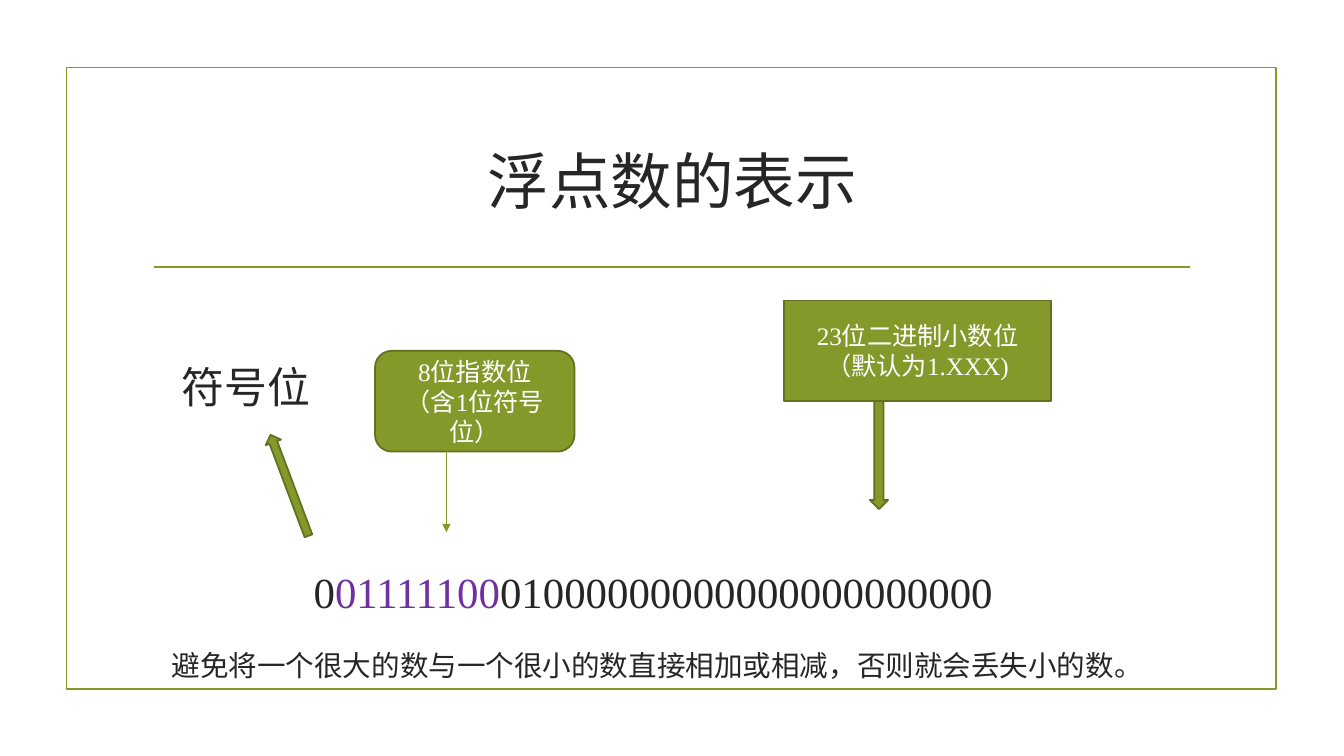
import pptx
import pptx.dml.color
import pptx.enum.shapes
import pptx.enum.text
import pptx.oxml
import pptx.oxml.ns
import pptx.util
from pptx.util import Cm

GREEN = pptx.dml.color.RGBColor(0x83, 0x99, 0x2A)
DARK_GREEN = pptx.dml.color.RGBColor(0x61, 0x71, 0x1F)
INK = pptx.dml.color.RGBColor(0x26, 0x26, 0x26)
PURPLE = pptx.dml.color.RGBColor(0x70, 0x30, 0xA0)
WHITE = pptx.dml.color.RGBColor(0xFF, 0xFF, 0xFF)
FONT = "Times New Roman"
SHAPES = pptx.enum.shapes.MSO_SHAPE
ANCHOR = pptx.enum.text.MSO_ANCHOR
ALIGN = pptx.enum.text.PP_ALIGN


def place(shape, left, top, width, height):
    shape.left, shape.top = Cm(left), Cm(top)
    shape.width, shape.height = Cm(width), Cm(height)


def format_paragraph(paragraph, size, color, alignment):
    paragraph.alignment = alignment
    paragraph.font.name = FONT
    paragraph.font.size = pptx.util.Pt(size)
    paragraph.font.color.rgb = color


def add_xml(parent, tag, **attributes):
    element = pptx.oxml.parse_xml(f"<a:{tag} {pptx.oxml.ns.nsdecls('a')}/>")
    for name, value in attributes.items():
        element.set(name, value)
    parent.append(element)


def add_line(slide, start, end, width, arrow=False):
    line = slide.shapes.add_connector(
        pptx.enum.shapes.MSO_CONNECTOR.STRAIGHT,
        Cm(start[0]), Cm(start[1]), Cm(end[0]), Cm(end[1]))
    line.line.color.rgb = GREEN
    line.line.width = pptx.util.Pt(width)
    if arrow:
        add_xml(line.line._get_or_add_ln(), "tailEnd", type="triangle")
    add_xml(line._element.spPr, "effectLst")


def add_block(slide, kind, box, filled=True, lines=(), rotation=0):
    shape = slide.shapes.add_shape(kind, *(Cm(length) for length in box))
    shape.shadow.inherit = False
    shape.rotation = rotation
    shape.line.width = pptx.util.Pt(1.25)
    if filled:
        shape.fill.solid()
        shape.fill.fore_color.rgb = GREEN
        shape.line.color.rgb = DARK_GREEN
    else:
        shape.fill.background()
        shape.line.color.rgb = GREEN
    if lines:
        frame = shape.text_frame
        frame.word_wrap = True
        frame.vertical_anchor = ANCHOR.MIDDLE
        frame.text = "\n".join(lines)
        for paragraph in frame.paragraphs:
            format_paragraph(paragraph, 18, WHITE, ALIGN.CENTER)


def fill_title(title):
    place(title, 3.61, 2.72, 26.67, 3.63)
    title.text_frame.text = "浮点数的表示"
    title.text_frame.vertical_anchor = ANCHOR.MIDDLE
    format_paragraph(title.text_frame.paragraphs[0], 44, INK, ALIGN.CENTER)


def fill_body(body):
    place(body, 3.61, 7.11, 26.67, 9.22)
    frame = body.text_frame
    frame.auto_size = pptx.enum.text.MSO_AUTO_SIZE.NONE
    frame.vertical_anchor = ANCHOR.TOP
    frame.margin_top = Cm(1.97)
    rows = [
        (["符号位"], 30.6, 0.71, 0),
        (["0", "01111100", "01000000000000000000000"], 30.6, 4.04, 110),
        (["避免将一个很大的数与一个很小的数直接相加或相减，否则就会丢失小的数。"], 20.4, 0.46, 22),
    ]
    for index, (texts, size, indent, space) in enumerate(rows):
        paragraph = frame.add_paragraph() if index else frame.paragraphs[0]
        format_paragraph(paragraph, size, INK, ALIGN.LEFT)
        paragraph.space_before = pptx.util.Pt(space)
        paragraph.space_after = pptx.util.Pt(0)
        properties = paragraph._p.get_or_add_pPr()
        properties.set("marL", str(Cm(indent)))
        properties.set("indent", "0")
        bullet = pptx.oxml.parse_xml(f"<a:buNone {pptx.oxml.ns.nsdecls('a')}/>")
        properties.find(pptx.oxml.ns.qn("a:defRPr")).addprevious(bullet)
        for text in texts:
            run = paragraph.add_run()
            run.text = text
            if text == "01111100":
                run.font.color.rgb = PURPLE


def main():
    presentation = pptx.Presentation()
    presentation.slide_width, presentation.slide_height = Cm(33.87), Cm(19.05)
    slide = presentation.slides.add_slide(presentation.slide_layouts[1])
    title, body = slide.placeholders

    add_block(slide, SHAPES.RECTANGLE, (1.68, 1.7, 30.48, 15.67), filled=False)
    add_line(slide, (3.89, 6.73), (30, 6.73), 1.25)
    for placeholder in (title, body):
        placeholder._element.getparent().append(placeholder._element)
    fill_title(title)
    fill_body(body)

    add_block(slide, SHAPES.UP_ARROW, (7.09, 10.87, 0.41, 2.72), rotation=339.4)
    add_block(slide, SHAPES.ROUNDED_RECTANGLE, (9.45, 8.84, 5.03, 2.54),
              lines=["8位指数位", "（含1位符号位）"])
    add_line(slide, (11.25, 11.07), (11.25, 13.41), 0.75, arrow=True)
    add_block(slide, SHAPES.RECTANGLE, (19.76, 7.57, 6.73, 2.54),
              lines=["23位二进制小数位（默认为1.XXX)"])
    add_block(slide, SHAPES.DOWN_ARROW, (21.92, 10.11, 0.46, 2.72))
    presentation.save("out.pptx")


if __name__ == "__main__":
    main()
